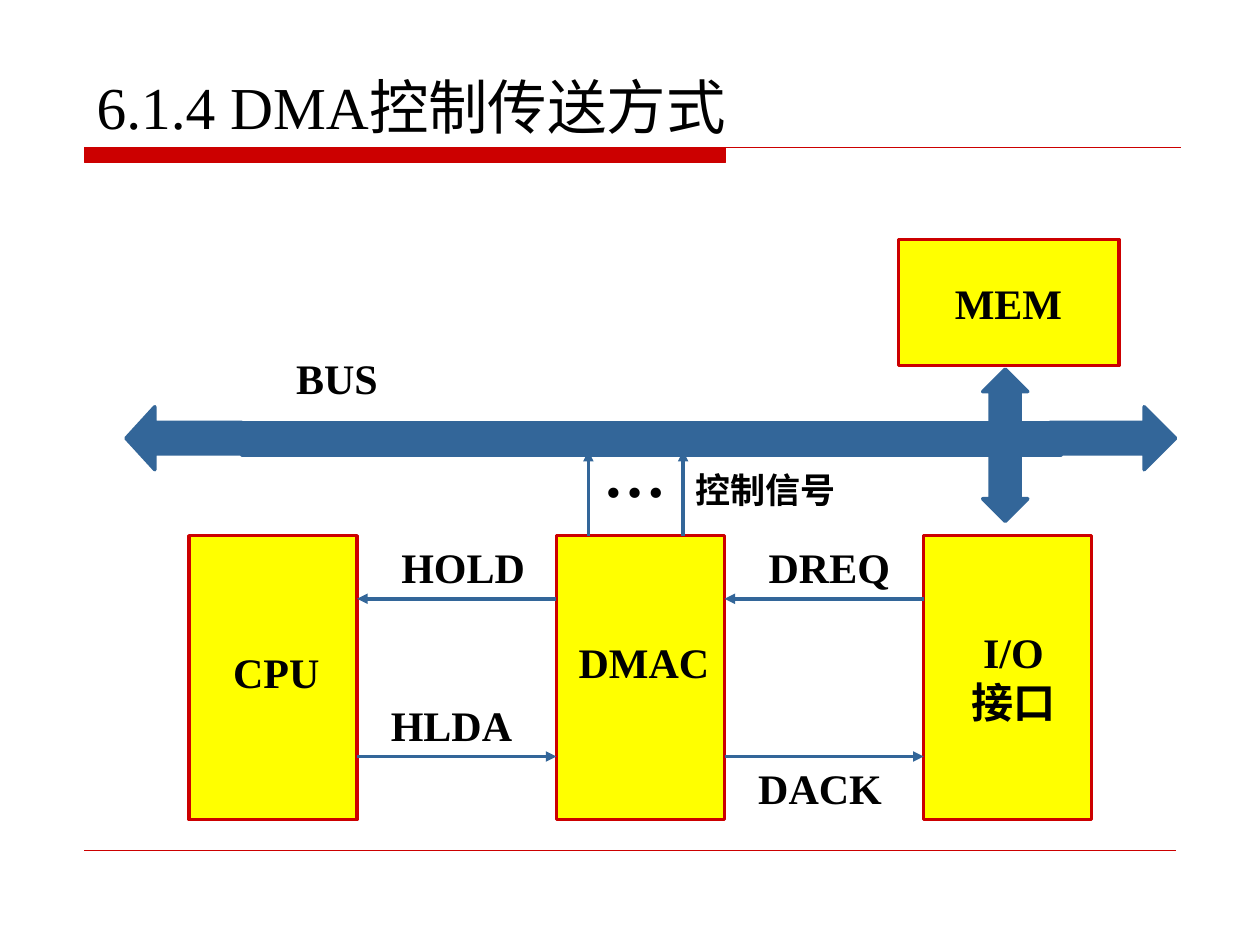
import dataclasses
import pptx
import pptx.dml.color
import pptx.enum.shapes
import pptx.enum.text
import pptx.oxml
import pptx.oxml.ns
import pptx.util

Cm = pptx.util.Cm
Pt = pptx.util.Pt
Kind = pptx.enum.shapes.MSO_SHAPE
Align = pptx.enum.text.PP_ALIGN
Anchor = pptx.enum.text.MSO_ANCHOR


@dataclasses.dataclass(frozen=True)
class Theme:
    """Colours, font and sizes of the slide."""
    red: str = "CC0000"
    blue: str = "336699"
    yellow: str = "FFFF00"
    ink: str = "000000"
    font: str = "Times New Roman"
    title: int = 34
    dots: int = 36
    label: int = 24
    small: int = 20
    stroke: float = 2


THEME = Theme()


def color(code):
    """Turn a hex code into a colour."""
    return pptx.dml.color.RGBColor.from_string(code)


def shape(slide, kind, box, fill, edge, stroke=THEME.stroke, adjust=()):
    """Draw a filled preset shape in the box."""
    item = slide.shapes.add_shape(kind, *map(Cm, box))
    item.shadow.inherit = False
    item.fill.solid()
    item.fill.fore_color.rgb = color(fill)
    item.line.color.rgb = color(edge)
    item.line.width = Pt(stroke)
    for index, value in enumerate(adjust):
        item.adjustments[index] = value
    return item


def line(slide, start, end, hue, stroke=THEME.stroke, arrow=False):
    """Draw a straight line, with an arrowhead at its end if asked."""
    item = slide.shapes.add_connector(
        pptx.enum.shapes.MSO_CONNECTOR.STRAIGHT, *map(Cm, (*start, *end)))
    item.line.color.rgb = color(hue)
    item.line.width = Pt(stroke)
    if arrow:
        tail = pptx.oxml.parse_xml(
            f'<a:tailEnd {pptx.oxml.ns.nsdecls("a")} type="triangle"/>')
        item.line._get_or_add_ln().append(tail)
    item._element.spPr.append(pptx.oxml.parse_xml(
        f'<a:effectLst {pptx.oxml.ns.nsdecls("a")}/>'))


def text(slide, box, rows, size=THEME.label, bold=True,
         align=Align.LEFT, anchor=Anchor.TOP):
    """Write one paragraph for each row in the box."""
    item = slide.shapes.add_textbox(*map(Cm, box))
    frame = item.text_frame
    frame.word_wrap = True
    frame.vertical_anchor = anchor
    for index, row in enumerate(rows):
        para = frame.add_paragraph() if index else frame.paragraphs[0]
        para.alignment = align
        run = para.add_run()
        run.text = row
        run.font.name = THEME.font
        run.font.size = Pt(size)
        run.font.bold = bold
        run.font.color.rgb = color(THEME.ink)
    return item


def header(slide, x, y, w, h):
    """Place the title above its red bar and rule."""
    rule, thick = y + 1.7, h - 1.7
    shape(slide, Kind.RECTANGLE, (x, rule, 12.93, thick),
          THEME.red, THEME.red, 0.25)
    line(slide, (x, rule), (x + w, rule), THEME.red, 0.75)
    text(slide, (x, y, 19.3, 1.7), ["6.1.4 DMA控制传送方式"],
         THEME.title, False, anchor=Anchor.BOTTOM)


def footer(slide, x, y, w):
    """Place the thin rule at the foot."""
    line(slide, (x, y), (x + w, y), THEME.red, 0.25)


def units(slide, x, y, w, h):
    """Place the three units and the handshake lines between them."""
    wide = 3.39
    step = (w - wide) / 2
    names = (
        (["CPU"], 0.64, 2.11, 2.97, Align.LEFT),
        (["DMAC"], 0.2, 1.91, 3.51, Align.LEFT),
        (["I/O", "接口"], 0.64, 1.7, 2.34, Align.CENTER),
    )
    for index, (rows, dx, dy, width, align) in enumerate(names):
        left = x + index * step
        shape(slide, Kind.RECTANGLE, (left, y, wide, h),
              THEME.yellow, THEME.red)
        text(slide, (left + dx, y + dy, width, 1.27 * len(rows)),
             rows, align=align)
    for index, (ask, reply, drop) in enumerate(
            (("HOLD", "HLDA", 3.18), ("DREQ", "DACK", 4.45))):
        near = x + index * step + wide
        far = x + (index + 1) * step
        top, low = y + 1.27, y + 4.45
        line(slide, (far, top), (near, top), THEME.blue, arrow=True)
        line(slide, (near, low), (far, low), THEME.blue, arrow=True)
        text(slide, (near + 0.64, y, 3.4, 1.27), [ask])
        text(slide, (near + 0.43, y + drop, 3.4, 1.27), [reply])


def memory(slide, x, y, w, h):
    """Place the memory block and the arrow that crosses the bus."""
    shape(slide, Kind.UP_DOWN_ARROW, (x + 1.7, y + h + 0.07, 0.91, 3.07),
          THEME.blue, THEME.blue, adjust=(0.5, 0.663))
    shape(slide, Kind.RECTANGLE, (x, y, w, h), THEME.yellow, THEME.red)
    text(slide, (x + 0.89, y + 0.64, 3.51, 1.27), ["MEM"])


def bus(slide, x, y, w, h):
    """Place the two-headed bus with its name above."""
    tall, left, right = 1.27, 2.34, 2.54
    top = y + h - tall
    parts = (
        (Kind.LEFT_ARROW, (x, top, left, tall), (0.5, 0.458)),
        (Kind.RIGHT_ARROW, (x + w - right, top, right, tall), (0.5, 0.5)),
        (Kind.RECTANGLE, (x + left, top + 0.33, 16.51, 0.64), ()),
    )
    for kind, box, adjust in parts:
        shape(slide, kind, box, THEME.blue, THEME.blue, adjust=adjust)
    text(slide, (x + 3.18, y, 2.54, 1.27), ["BUS"])


def control(slide, x, y, w, h):
    """Place the control signals that rise to the bus."""
    for left in (x, x + w):
        line(slide, (left, y + h), (left, y), THEME.blue, arrow=True)
    text(slide, (x + 0.05, y - 0.45, 2.34, 1.78), ["…"], THEME.dots)
    text(slide, (x + w, y + 0.23, 4.24, 1.12), ["控制信号"], THEME.small)


def main():
    """Build and save the slide."""
    deck = pptx.Presentation()
    deck.slide_width, deck.slide_height = Cm(25.4), Cm(19.05)
    slide = deck.slides.add_slide(deck.slide_layouts[6])
    header(slide, 1.7, 1.27, 22.1, 2)
    footer(slide, 1.7, 17.15, 22)
    units(slide, 3.81, 10.8, 18.2, 5.72)
    memory(slide, 18.11, 4.83, 4.45, 2.54)
    bus(slide, 2.54, 6.99, 21.16, 2.48)
    control(slide, 11.86, 9.09, 1.91, 1.71)
    deck.save("out.pptx")


if __name__ == "__main__":
    main()
